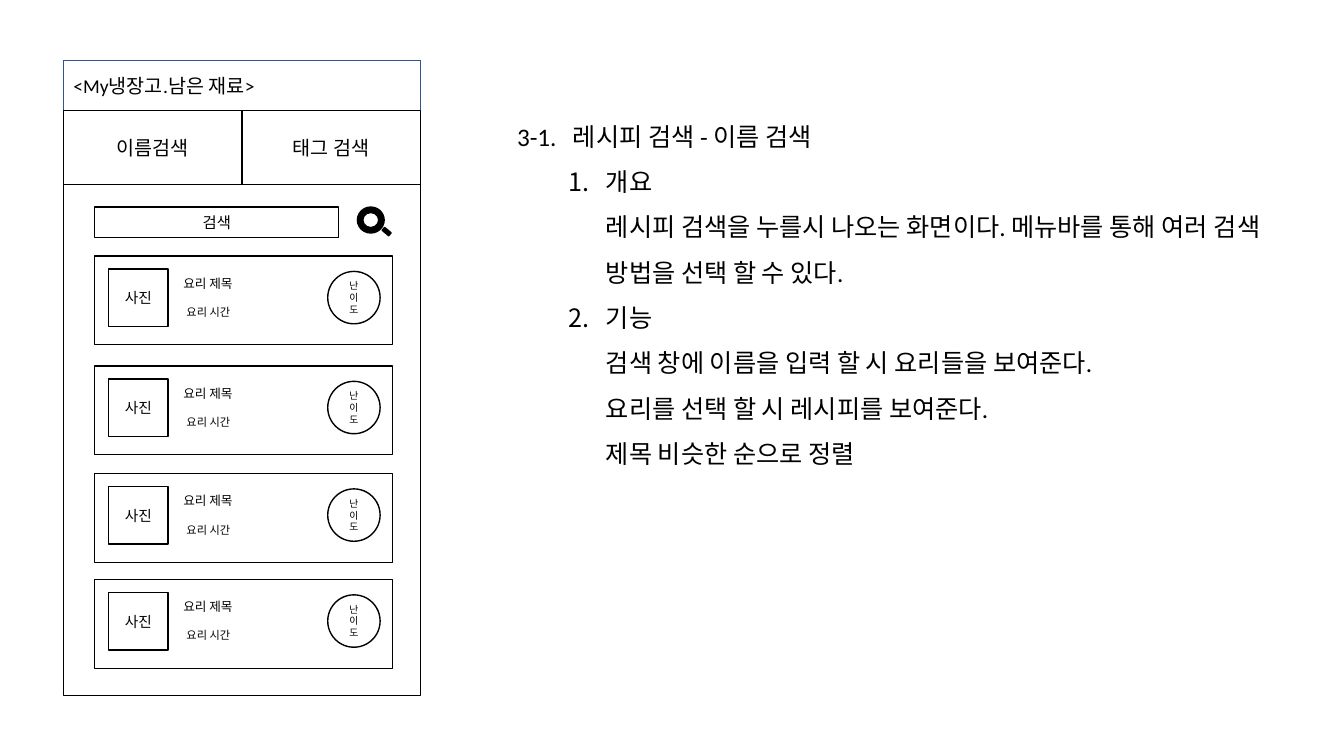
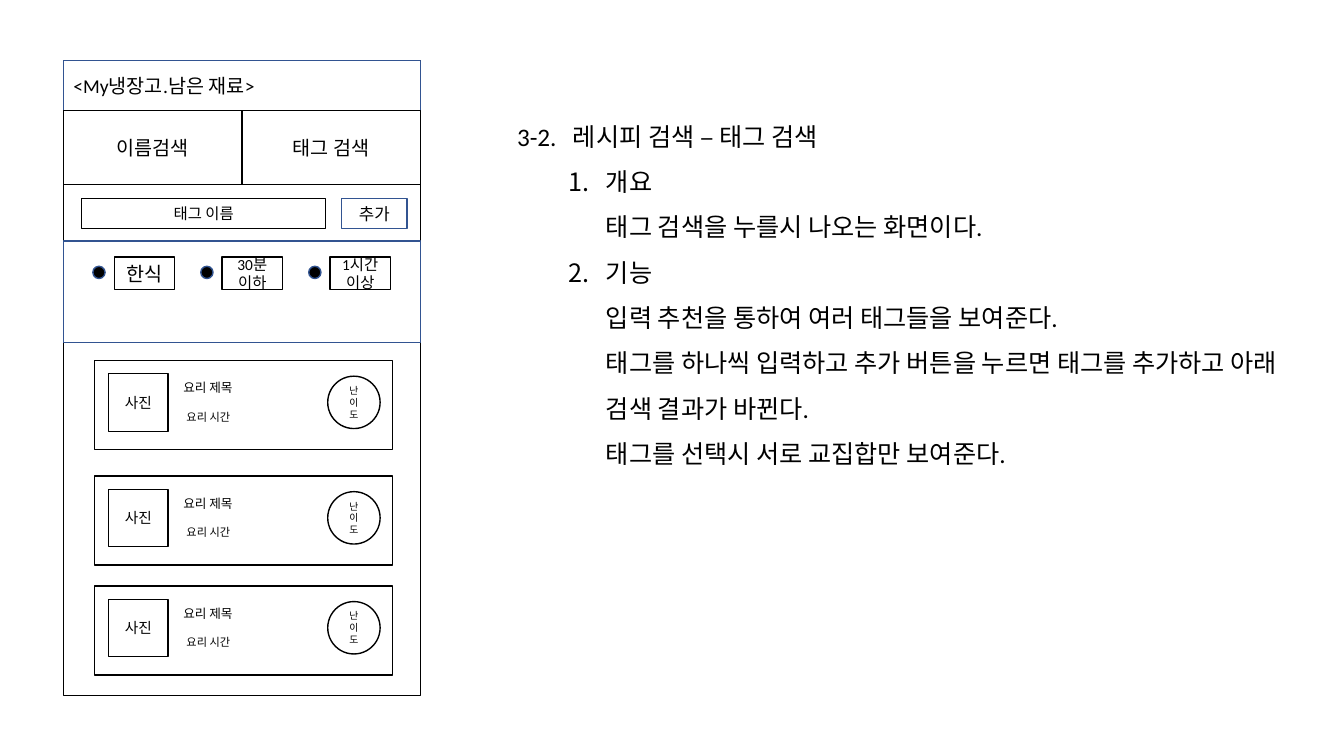
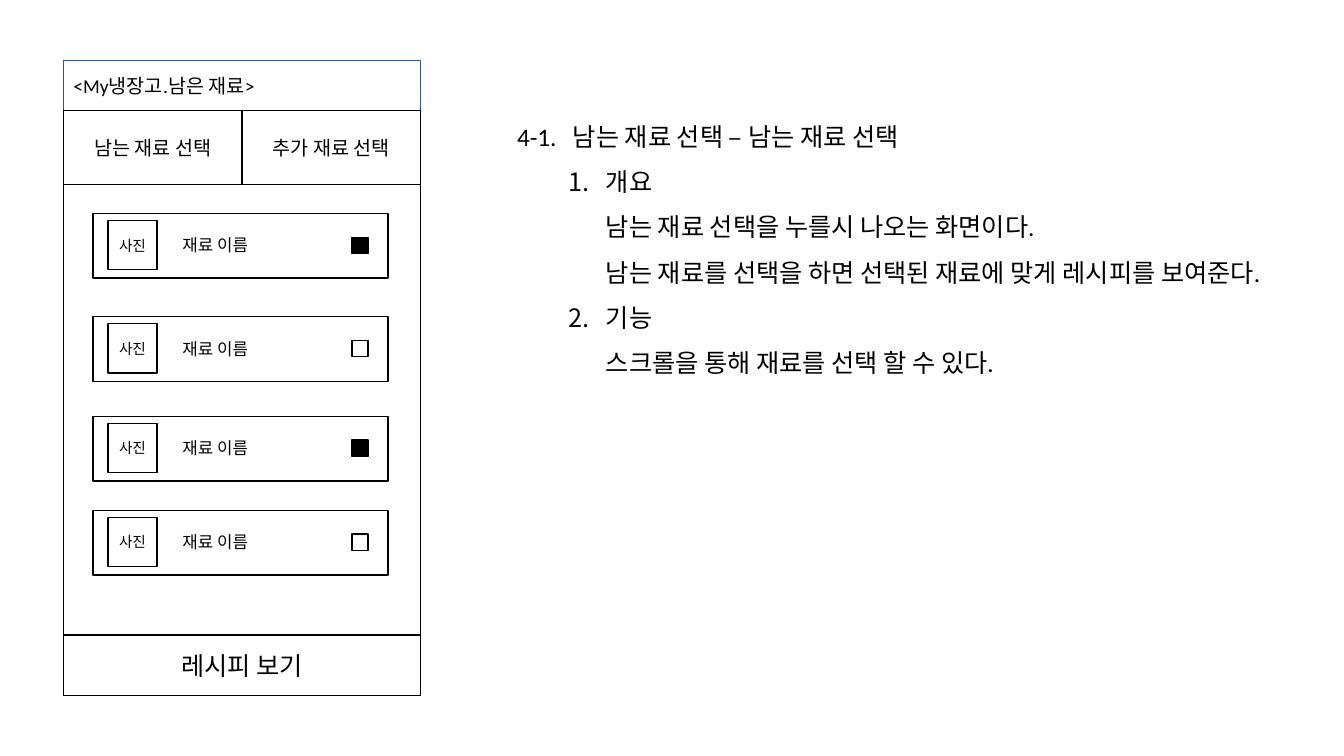
from lxml import etree
from pptx import Presentation
from pptx import util as u
from pptx.dml import color
from pptx.enum import shapes, text
from pptx.oxml import ns

INK, BLUE, WHITE = "000000", "325491", "FFFFFF"
FACE = "Calibri"
PHONE = (1.6, 1.52, 9, 16)
NOTES = (12.78, 2.54, 20.29)
KIND = shapes.MSO_SHAPE


def paint(hue):
    """Turn a hex string into a colour."""
    return color.RGBColor.from_string(hue)


def style(para, size):
    """Format every run of a paragraph."""
    for run in para.runs:
        run.font.size = u.Pt(size)
        run.font.name = FACE
        run.font.color.rgb = paint(INK)


def inside(box, left, top, width, height):
    """Shift a local rectangle to the corner of its box."""
    return box[0] + left, box[1] + top, width, height


def shape(slide, box, words="", size=14, kind=KIND.RECTANGLE, fill=None,
          line=INK, align=text.PP_ALIGN.CENTER):
    """Draw one outlined shape with an optional label."""
    item = slide.shapes.add_shape(kind, *map(u.Cm, box))
    item.shadow.inherit = False
    if fill:
        item.fill.solid()
        item.fill.fore_color.rgb = paint(fill)
    else:
        item.fill.background()
    if line:
        item.line.color.rgb = paint(line)
        item.line.width = u.Pt(1)
    else:
        item.line.fill.background()
    if words:
        frame = item.text_frame
        frame.text = words
        frame.word_wrap = True
        frame.vertical_anchor = text.MSO_ANCHOR.MIDDLE
        frame.paragraphs[0].alignment = align
        style(frame.paragraphs[0], size)
    return item


def label(slide, box, words, size):
    """Add a wrapping text box and return its frame."""
    frame = slide.shapes.add_textbox(*map(u.Cm, box)).text_frame
    frame.word_wrap = True
    frame.auto_size = text.MSO_AUTO_SIZE.SHAPE_TO_FIT_TEXT
    frame.text = words
    style(frame.paragraphs[0], size)
    return frame


def indent(para, left, first):
    """Set the left margin and first-line indent of a paragraph."""
    props = para._p.get_or_add_pPr()
    props.set("marL", str(u.Cm(left)))
    props.set("indent", str(u.Cm(first)))
    return props


def notes(slide, box, height, title, parts):
    """Write the heading and the numbered parts beside the phone."""
    frame = label(slide, (*box, height), title, 18)
    head = frame.paragraphs[0]
    head.line_spacing = 1.5
    indent(head, 1.41, -1.41)
    for lines in parts:
        para = frame.add_paragraph()
        para.text = "\v".join(lines)
        para.level = 1
        para.line_spacing = 1.5
        style(para, 18)
        props = indent(para, 2.24, -0.95)
        etree.SubElement(props, ns.qn("a:buAutoNum"), type="arabicPeriod")


def phone(slide, box, tabs):
    """Draw the phone outline, its header and its two tabs."""
    width = box[2]
    half = width / 2
    shape(slide, box)
    shape(slide, inside(box, 0, 0, width, 1.27), "<My냉장고.남은 재료>",
          line=BLUE, align=text.PP_ALIGN.LEFT)
    for col, name in enumerate(tabs):
        shape(slide, inside(box, col * half, 1.27, half, 1.86), name)


def search(slide, box):
    """Draw the search field and its magnifier."""
    shape(slide, inside(box, 0, 0.02, 6.15, 0.76), "검색", 11)
    shape(slide, inside(box, 6.6, 0, 0.71, 0.69), kind=KIND.DONUT,
          fill=INK, line=None)
    grip = shape(slide, inside(box, 7.29, 0.51, 0.13, 0.25),
                 kind=KIND.ROUNDED_RECTANGLE, fill=INK, line=None)
    grip.rotation = 309.8


def recipe(slide, box):
    """Draw one recipe card."""
    shape(slide, inside(box, 0, 0, 7.5, 2.24))
    shape(slide, inside(box, 0.35, 0.33, 1.5, 1.45), "사진", 10.5)
    label(slide, inside(box, 1.98, 0.37, 3.48, 0.64), "요리 제목", 9)
    shape(slide, inside(box, 5.87, 0.39, 1.32, 1.32), "난이도", 7, KIND.OVAL)
    label(slide, inside(box, 2.06, 1.12, 2.59, 0.61), "요리 시간", 8)


def filters(slide, box):
    """Draw the tag entry row and the panel of chosen tags."""
    shape(slide, inside(box, 0.46, 0, 6.15, 0.76), "태그 이름", 11)
    shape(slide, inside(box, 7.01, 0, 1.65, 0.76), "추가", 12, line=BLUE)
    shape(slide, inside(box, 0, 1.07, 9, 2.57), line=BLUE)
    tags = [("한식", 14), ("30분 이하", 11), ("1시간 이상", 11)]
    for col, (name, size) in enumerate(tags):
        left = 0.74 + col * 2.72
        shape(slide, inside(box, left, 1.71, 0.31, 0.31), kind=KIND.OVAL,
              fill=INK, line=BLUE)
        shape(slide, inside(box, left + 0.54, 1.48, 1.52, 0.81), name, size)


def stock(slide, box, chosen):
    """Draw one ingredient row with its check box."""
    shape(slide, inside(box, 0, 0, 7.44, 1.63), fill=WHITE)
    shape(slide, inside(box, 0.38, 0.18, 1.24, 1.24), "사진", 10.5, fill=WHITE)
    label(slide, inside(box, 2.01, 0.42, 2.84, 0.76), "재료 이름", 12)
    shape(slide, inside(box, 6.53, 0.6, 0.41, 0.41),
          fill=INK if chosen else WHITE)


def recipes(slide, box, tops):
    """Stack recipe cards at the given heights."""
    for top in tops:
        recipe(slide, (box[0] + 0.79, box[1] + top))


def by_name(slide, box):
    """Show the search by name."""
    phone(slide, box, ["이름검색", "태그 검색"])
    search(slide, (box[0] + 0.79, box[1] + 3.68))
    recipes(slide, box, [4.93, 7.7, 10.41, 13.08])
    notes(slide, NOTES, 9.37, "3-1.\t레시피 검색 - 이름 검색", [
        ["개요",
         "레시피 검색을 누를시 나오는 화면이다. 메뉴바를 통해 여러 검색 "
         "방법을 선택 할 수 있다."],
        ["기능",
         "검색 창에 이름을 입력 할 시 요리들을 보여준다.",
         "요리를 선택 할 시 레시피를 보여준다.",
         "제목 비슷한 순으로 정렬"]])


def by_tag(slide, box):
    """Show the search by tag."""
    phone(slide, box, ["이름검색", "태그 검색"])
    filters(slide, (box[0], box[1] + 3.48))
    recipes(slide, box, [7.57, 10.48, 13.25])
    notes(slide, NOTES, 9.37, "3-2.\t레시피 검색 – 태그 검색", [
        ["개요", "태그 검색을 누를시 나오는 화면이다."],
        ["기능",
         "입력 추천을 통하여 여러 태그들을 보여준다.",
         "태그를 하나씩 입력하고 추가 버튼을 누르면 태그를 추가하고 아래 "
         "검색 결과가 바뀐다.",
         "태그를 선택시 서로 교집합만 보여준다."]])


def leftover(slide, box):
    """Show the choice of leftover ingredients."""
    phone(slide, box, ["남는 재료 선택", "추가 재료 선택"])
    for row, top in enumerate([3.86, 6.46, 8.97, 11.34]):
        stock(slide, (box[0] + 0.74, box[1] + top), row % 2 == 0)
    shape(slide, inside(box, 0, 14.48, 9, 1.52), "레시피 보기", 18, fill=WHITE)
    notes(slide, NOTES, 8.2, "4-1.\t남는 재료 선택 – 남는 재료 선택", [
        ["개요",
         "남는 재료 선택을 누를시 나오는 화면이다.",
         "남는 재료를 선택을 하면 선택된 재료에 맞게 레시피를 보여준다."],
        ["기능", "스크롤을 통해 재료를 선택 할 수 있다."]])


deck = Presentation()
deck.slide_width, deck.slide_height = u.Cm(33.87), u.Cm(19.05)
for build in (by_name, by_tag, leftover):
    build(deck.slides.add_slide(deck.slide_layouts[6]), PHONE)
deck.save("out.pptx")
